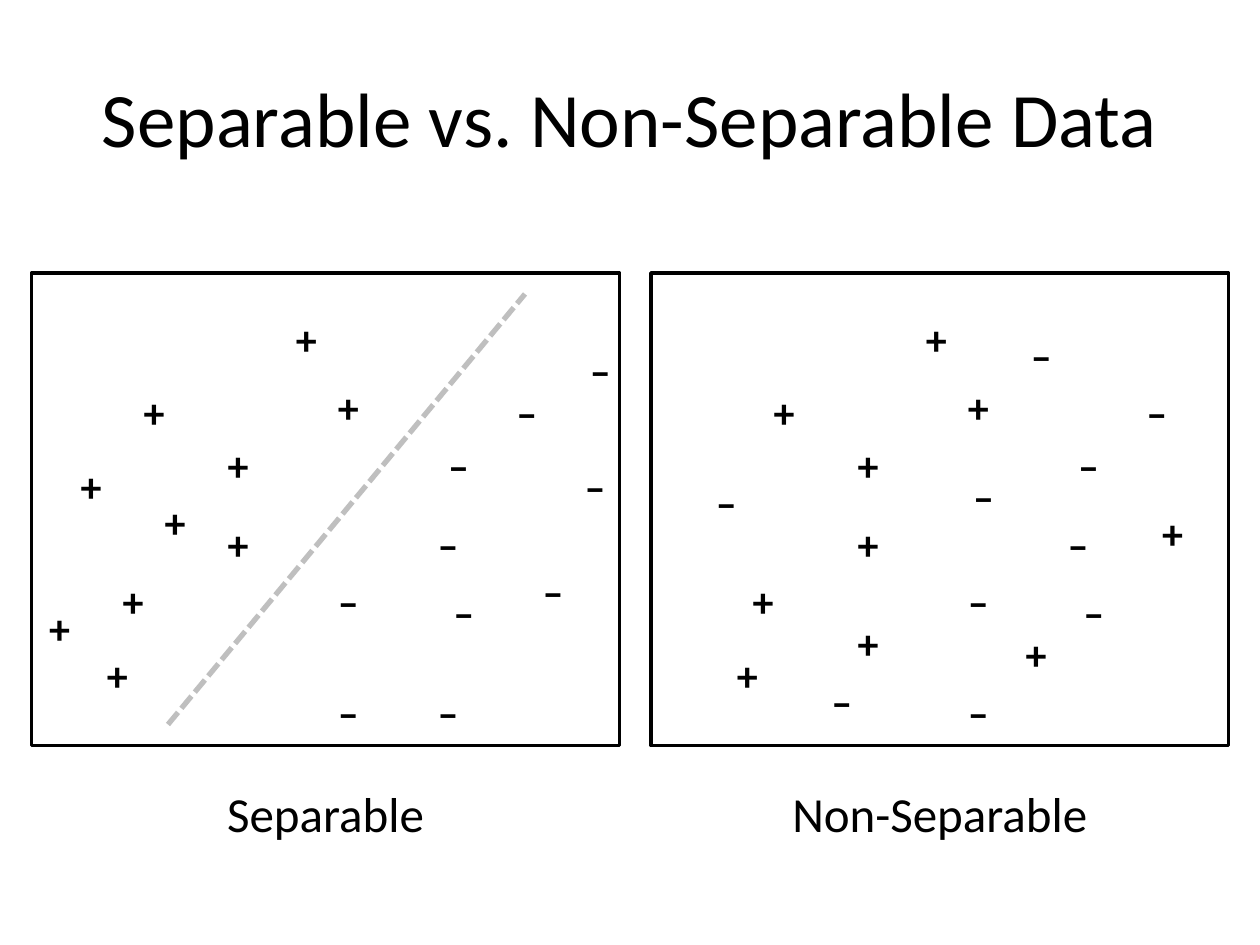
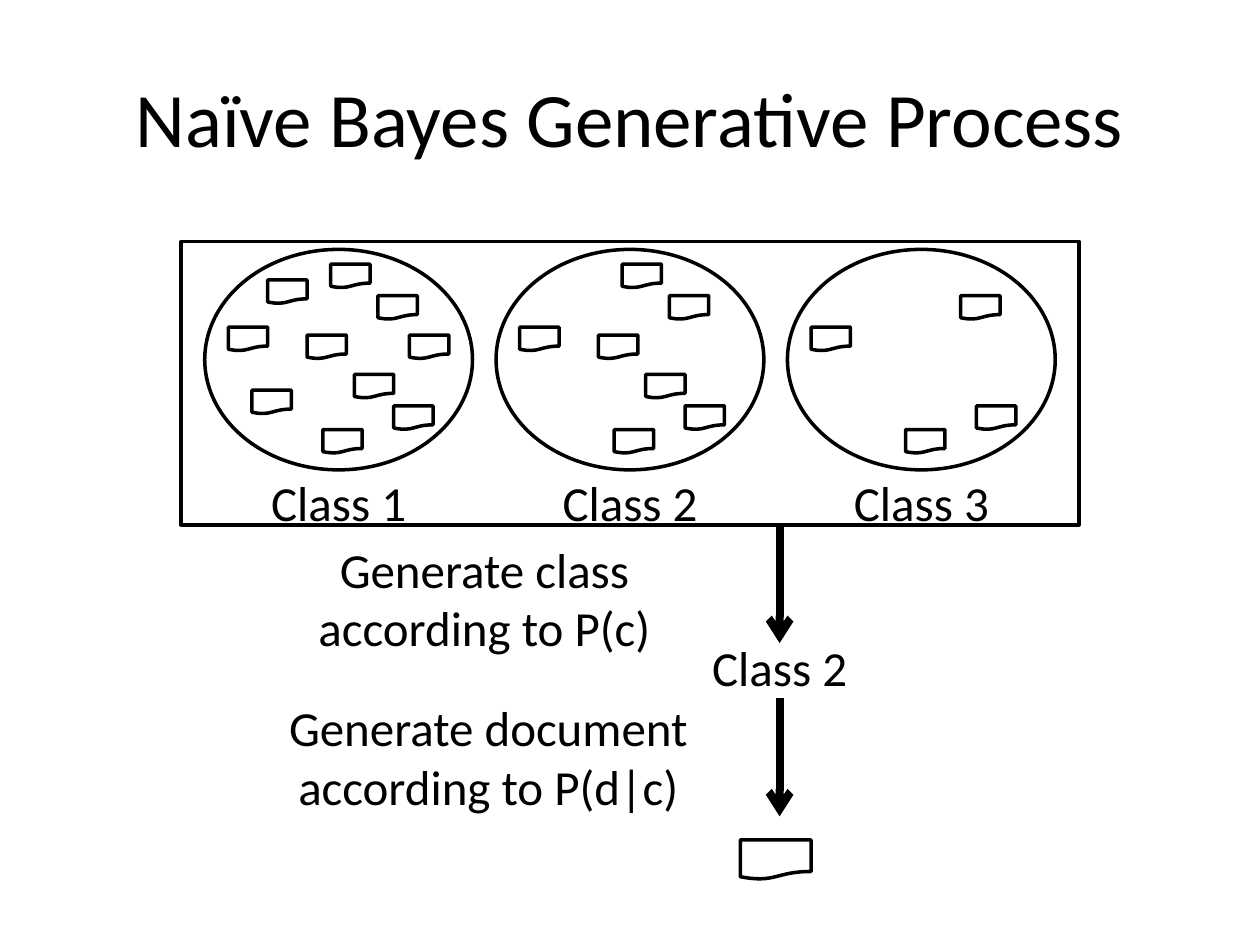
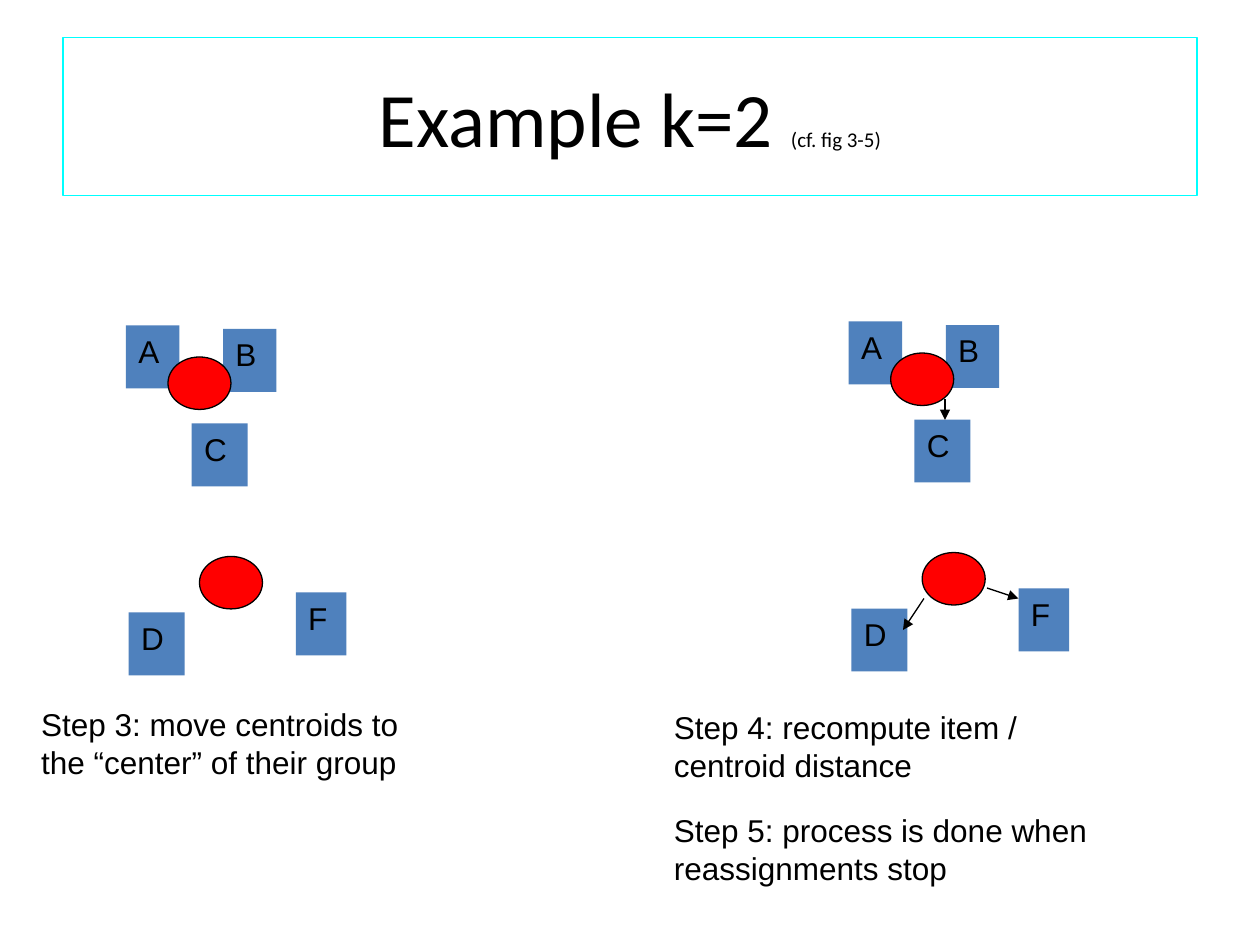
"""Build three slides on separable data, Naïve Bayes and k-means."""
from dataclasses import dataclass
from typing import NamedTuple

from lxml.etree import SubElement
from pptx import Presentation
from pptx.dml.color import RGBColor
from pptx.enum.dml import MSO_LINE
from pptx.enum.shapes import MSO_CONNECTOR, MSO_SHAPE
from pptx.enum.text import MSO_ANCHOR, MSO_AUTO_SIZE, PP_ALIGN
from pptx.oxml.ns import qn
from pptx.util import Pt

INK = {"black": "000000", "white": "FFFFFF", "gray": "BFBFBF",
       "cyan": "00FFFF", "blue": "4F81BD", "red": "FF0000"}


class Box(NamedTuple):
    x: float
    y: float
    w: float
    h: float

    def move(self, dx: float, dy: float = 0) -> "Box":
        return Box(self.x + dx, self.y + dy, self.w, self.h)

    def pts(self) -> list:
        return [Pt(v) for v in self]


class Run(NamedTuple):
    text: str
    size: float


@dataclass(frozen=True)
class Font:
    name: str = "Calibri"
    size: float = 28
    bold: bool = False
    align: PP_ALIGN = PP_ALIGN.CENTER


@dataclass(frozen=True)
class Line:
    start: tuple
    end: tuple
    width: float
    color: str = "black"
    dash: bool = False
    head: str = ""


@dataclass(frozen=True)
class Panel:
    frame: Box
    name: str
    shift: float
    plus: list
    minus: list


LABEL = Font()
MARK = Font(size=24, bold=True)
NOTE = Font("Arial", 18, align=PP_ALIGN.LEFT)
TITLE = Box(36, 21.6, 648, 90)

PLUS = [(75, 217.5), (54, 367.5), (186, 214.5), (123, 247.5),
        (162, 175.5), (63, 325.5), (123, 292.5)]
MINUS = [(288, 217.5), (252, 331.5), (243, 292.5), (186, 388.5),
         (249, 247.5), (186, 325.5)]
PANELS = [
    Panel(Box(18, 156, 336, 270), "Separable", 0,
          PLUS + [(21, 340.5), (39, 259.5), (87, 280)],
          MINUS + [(330, 193.5), (243, 388.5), (303, 319.5), (327, 259.5)]),
    Panel(Box(372, 156, 330, 270), "Non-Separable", 360,
          PLUS + [(297, 286.5), (123, 349.5), (219, 355.5)],
          MINUS + [(42, 268.5), (108, 382.5), (222, 184.5), (189, 265.5)]),
]

STEP = 166.5
PAGES = [(216, 169), (184.5, 245.5), (130.5, 187), (225, 232),
         (175.5, 191.5), (202.5, 214), (189, 151),
         (153, 160), (144, 223), (234, 191.5)]
COUNTS = [10, 7, 4]

ITEMS = {"A": Box(72, 186, 30.5, 36), "B": Box(127.5, 188, 30.5, 36),
         "C": Box(109.5, 242, 32, 36), "D": Box(73.5, 350, 32, 36),
         "F": Box(169, 338.5, 29, 36)}
CORES = [Box(96, 204, 36, 30), Box(114, 318, 36, 30)]
LINKS = [((540, 228), (540, 240)), ((564, 336), (582, 342)),
         ((528, 342), (516, 360))]


def tint(name: str) -> RGBColor:
    """Return a named colour."""
    return RGBColor.from_string(INK[name])


def put(para, run: Run, font: Font) -> None:
    """Add one run to a paragraph."""
    part = para.add_run()
    part.text = run.text
    part.font.name = font.name
    part.font.size = Pt(run.size)
    part.font.bold = font.bold
    part.font.color.rgb = tint("black")


def write(slide, box: Box, rows: list[str], font: Font = LABEL,
          fill: str = "", gaps: dict[int, float] = {}):
    """Add a text box with one paragraph per row."""
    item = slide.shapes.add_textbox(*box.pts())
    if fill:
        item.fill.solid()
        item.fill.fore_color.rgb = tint(fill)
    frame = item.text_frame
    frame.word_wrap = True
    for i, row in enumerate(rows):
        para = frame.add_paragraph() if i else frame.paragraphs[0]
        para.alignment = font.align
        para.space_before = Pt(gaps.get(i, 0))
        put(para, Run(row, font.size), font)


def draw(slide, kind: MSO_SHAPE, box: Box, fill: str = "",
         width: float = 2) -> None:
    """Add an outlined shape."""
    item = slide.shapes.add_shape(kind, *box.pts())
    item.shadow.inherit = False
    if fill:
        item.fill.solid()
        item.fill.fore_color.rgb = tint(fill)
    else:
        item.fill.background()
    item.line.color.rgb = tint("black")
    item.line.width = Pt(width)


def rule(slide, line: Line) -> None:
    """Add a straight line or arrow."""
    ends = [Pt(v) for v in (*line.start, *line.end)]
    item = slide.shapes.add_connector(MSO_CONNECTOR.STRAIGHT, *ends)
    item.line.color.rgb = tint(line.color)
    item.line.width = Pt(line.width)
    if line.dash:
        item.line.dash_style = MSO_LINE.SQUARE_DOT
    props = item.element.spPr
    if line.head:
        SubElement(props.find(qn("a:ln")), qn("a:tailEnd"), type=line.head)
    SubElement(props, qn("a:effectLst"))


def start(deck, *runs: Run):
    """Add a slide with a centred title."""
    slide = deck.slides.add_slide(deck.slide_layouts[5])
    title = slide.shapes.title
    title.left, title.top, title.width, title.height = TITLE.pts()
    frame = title.text_frame
    frame.auto_size = MSO_AUTO_SIZE.NONE
    frame.vertical_anchor = MSO_ANCHOR.MIDDLE
    para = frame.paragraphs[0]
    para.alignment = PP_ALIGN.CENTER
    for run in runs:
        put(para, run, LABEL)
    return slide


def data(deck) -> None:
    """Build the slide on separable data."""
    slide = start(deck, Run("Separable vs. Non-Separable Data", 44))
    for panel in PANELS:
        for sign, wide, spots in (("+", 15, panel.plus),
                                  ("–", 18, panel.minus)):
            for x, y in spots:
                write(slide, Box(x + panel.shift, y, wide, 36.5), [sign], MARK)
        frame = panel.frame
        draw(slide, MSO_SHAPE.RECTANGLE, frame)
        write(slide, Box(frame.x, 444, frame.w, 41), [panel.name])
    rule(slide, Line((96, 414), (300, 168), 3, "gray", dash=True))


def bayes(deck) -> None:
    """Build the slide on the generative process."""
    slide = start(deck, Run("Naïve Bayes Generative Process", 44))
    page = MSO_SHAPE.FLOWCHART_DOCUMENT
    for i, count in enumerate(COUNTS):
        shift = i * STEP
        oval = Box(117, 142.5, 153, 126).move(shift)
        draw(slide, MSO_SHAPE.OVAL, oval, "white")
        for x, y in PAGES[:count]:
            draw(slide, page, Box(x + shift, y, 22.5, 13.5), "white")
        write(slide, Box(126, 266.5, 135, 41).move(shift), [f"Class {i + 1}"])
    for top in (300, 399):
        rule(slide, Line((445.5, top), (445.5, top + 67.5), 4.5, head="arrow"))
    draw(slide, MSO_SHAPE.RECTANGLE, Box(103.5, 138, 513, 162))
    draw(slide, page, Box(423, 480, 40.5, 22.5), "white")
    write(slide, Box(378, 361, 135, 41), ["Class 2"])
    write(slide, Box(171, 304.5, 211.5, 74),
          ["Generate class according to P(c)"])
    write(slide, Box(157.5, 395, 243, 108),
          ["Generate document according to P(d|c)"])


def means(deck) -> None:
    """Build the slide on k-means."""
    slide = start(deck, Run("Example k=2 ", 44), Run("(cf. fig 3-5)", 12))
    edge = slide.shapes.title.line
    edge.color.rgb = tint("cyan")
    edge.width = Pt(0.75)
    for dx, dy in ((0, 0), (413, -2.25)):
        for name, box in ITEMS.items():
            write(slide, box.move(dx, dy), [name], NOTE, "blue")
        for core in CORES:
            draw(slide, MSO_SHAPE.OVAL, core.move(dx, dy), "red", 0.75)
    write(slide, Box(16.5, 399.5, 293, 65),
          ["Step 3: move centroids to", "the “center” of their group"], NOTE)
    write(slide, Box(378, 401, 329, 139),
          ["Step 4: recompute item /", "centroid distance",
           "Step 5: process is done when", "reassignments stop"],
          NOTE, gaps={2: 16})
    for head, tail in LINKS:
        rule(slide, Line(head, tail, 0.75, head="triangle"))


def main() -> None:
    """Build and save the deck."""
    deck = Presentation()
    deck.slide_width, deck.slide_height = Pt(720), Pt(540)
    for build in (data, bayes, means):
        build(deck)
    deck.save("out.pptx")


if __name__ == "__main__":
    main()
